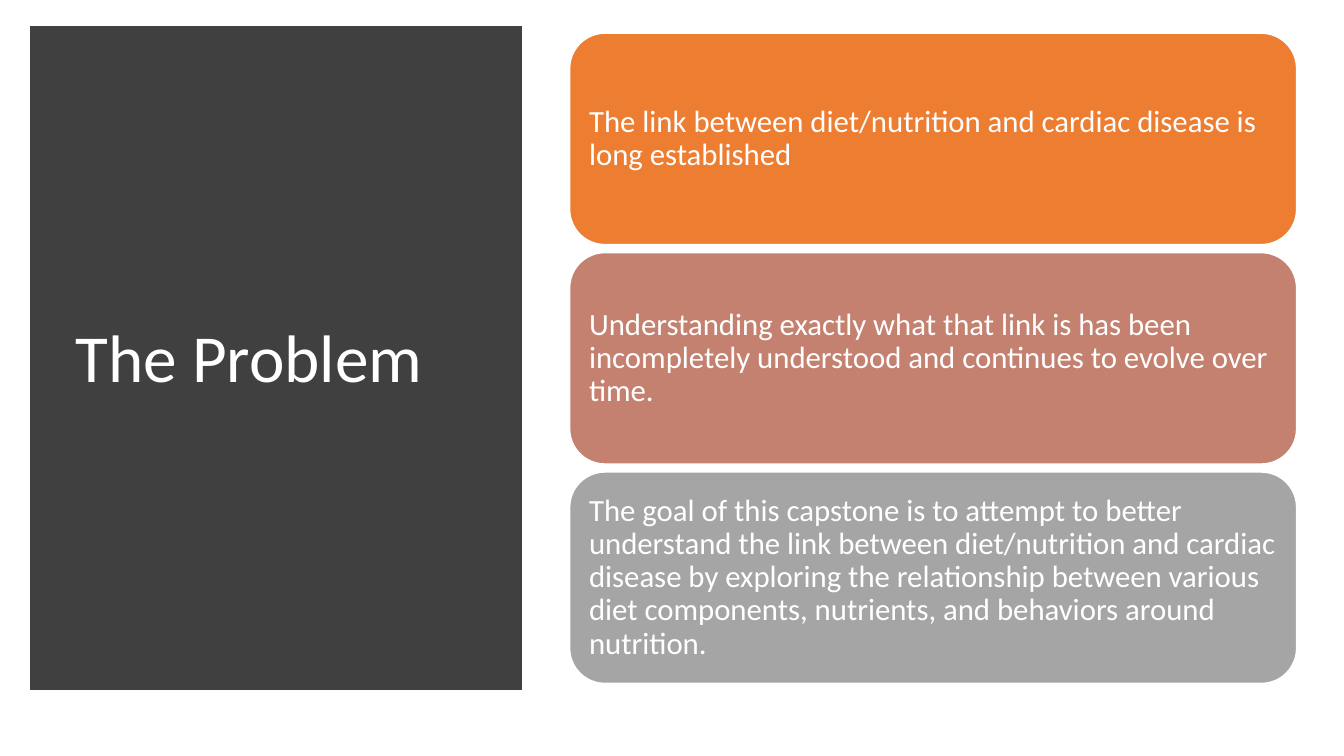
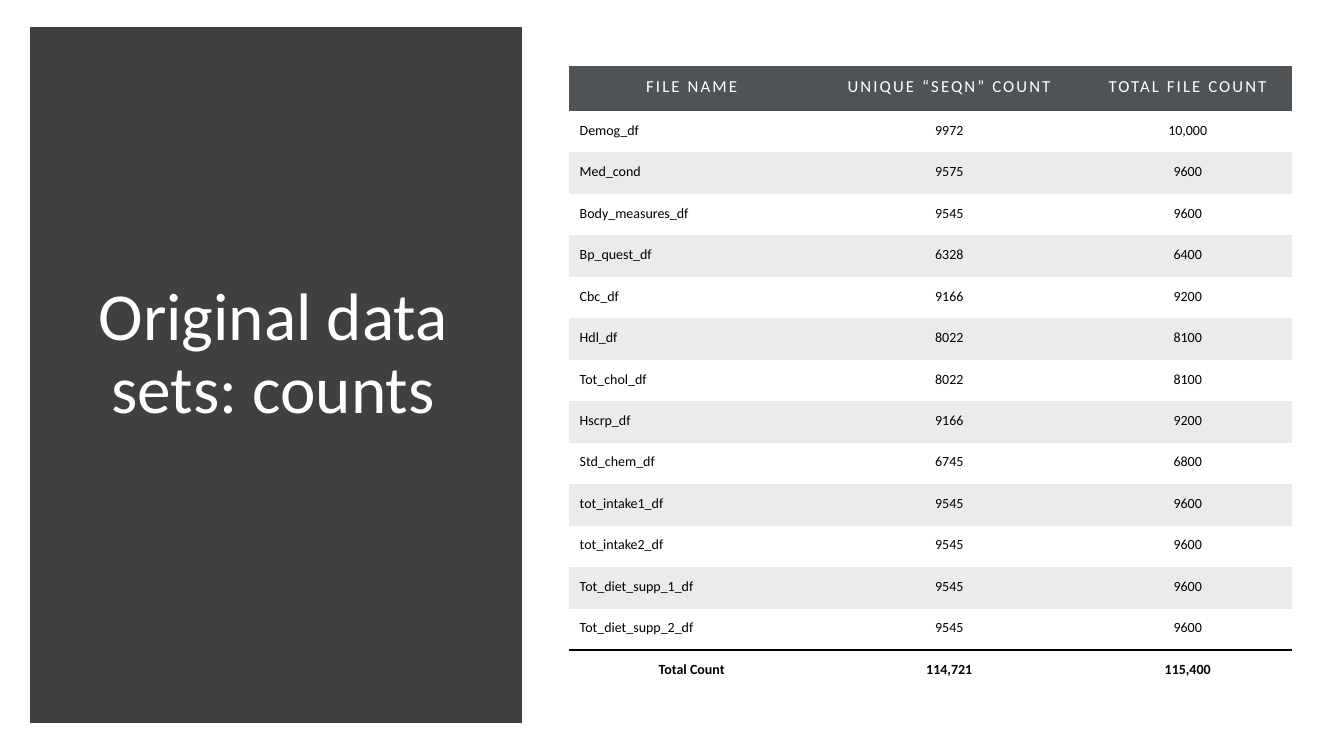
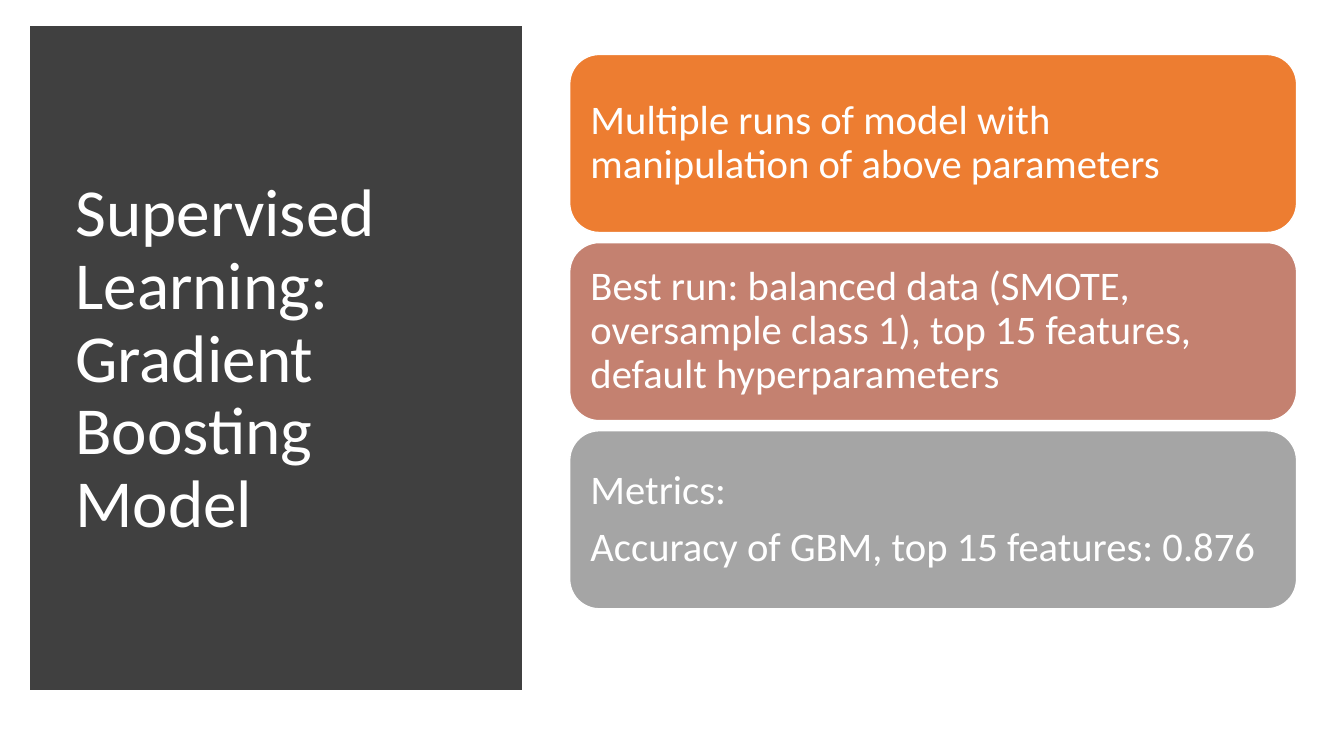
import pptx
import pptx.util
import pptx.dml.color
import pptx.enum.shapes
import pptx.enum.text
import pptx.oxml
import pptx.oxml.ns
from lxml import etree

Inches = pptx.util.Inches
Pt = pptx.util.Pt
RGBColor = pptx.dml.color.RGBColor
SHAPE = pptx.enum.shapes.MSO_SHAPE
ANCHOR = pptx.enum.text.MSO_ANCHOR
ALIGN = pptx.enum.text.PP_ALIGN
qn = pptx.oxml.ns.qn

FONT = "Calibri"
WHITE = RGBColor(0xFF, 0xFF, 0xFF)
BLACK = RGBColor(0x00, 0x00, 0x00)
PANEL = RGBColor(0x40, 0x40, 0x40)
HEADER = RGBColor(0x50, 0x53, 0x56)
STRIPE = RGBColor(0xEB, 0xEB, 0xEB)
CARD_COLORS = [RGBColor(0xED, 0x7D, 0x31), RGBColor(0xC4, 0x81, 0x70),
               RGBColor(0xA5, 0xA5, 0xA5)]
NO_STYLE = "{2D5ABB26-0587-4C30-8999-92F81FD0307C}"

# Boxes: left, top, width, height in inches
PANEL_BOX = (0.37, 0.33, 4.74, 6.45)
TITLE_BOX = (0.65, 0.7, 4.16, 5.75)

PROBLEM = [
    ["The link between diet/nutrition and cardiac disease is long established"],
    ["Understanding exactly what that link is has been incompletely understood "
     "and continues to evolve over time."],
    ["The goal of this capstone is to attempt to better understand the link "
     "between diet/nutrition and cardiac disease by exploring the relationship "
     "between various diet components, nutrients, and behaviors around nutrition."],
]
MODEL_RUNS = [
    ["Multiple runs of model with manipulation of above parameters"],
    ["Best run: balanced data (SMOTE, oversample class 1), top 15 features, "
     "default hyperparameters"],
    ["Metrics:", "Accuracy of GBM, top 15 features: 0.876"],
]
COUNTS = [
    ("FILE NAME", "UNIQUE “SEQN” COUNT", "TOTAL FILE COUNT"),
    ("Demog_df", "9972", "10,000"),
    ("Med_cond", "9575", "9600"),
    ("Body_measures_df", "9545", "9600"),
    ("Bp_quest_df", "6328", "6400"),
    ("Cbc_df", "9166", "9200"),
    ("Hdl_df", "8022", "8100"),
    ("Tot_chol_df", "8022", "8100"),
    ("Hscrp_df", "9166", "9200"),
    ("Std_chem_df", "6745", "6800"),
    ("tot_intake1_df", "9545", "9600"),
    ("tot_intake2_df", "9545", "9600"),
    ("Tot_diet_supp_1_df", "9545", "9600"),
    ("Tot_diet_supp_2_df", "9545", "9600"),
    ("Total Count", "114,721", "115,400"),
]


def set_font(p, size, color, bold=False):
    p.font.name = FONT
    p.font.size = Pt(size)
    p.font.color.rgb = color
    p.font.bold = bold


def add_box(s, kind, box, fill, line, line_width):
    sp = s.shapes.add_shape(kind, *map(Inches, box))
    sp.shadow.inherit = False
    sp.fill.solid()
    sp.fill.fore_color.rgb = fill
    sp.line.color.rgb = line
    sp.line.width = Pt(line_width)
    return sp


def set_margins(target, inset):
    target.margin_left = target.margin_right = Inches(inset)
    target.margin_top = target.margin_bottom = Inches(inset)


def add_title_panel(s, title, panel=PANEL_BOX, box=TITLE_BOX, align=ALIGN.LEFT):
    """Dark panel on the left with the slide title."""
    sp = add_box(s, SHAPE.RECTANGLE, panel, PANEL, PANEL, 10)
    # Square corners on the thick outline
    etree.SubElement(sp.line._get_or_add_ln(), qn("a:miter"), lim="800000")

    tf = s.shapes.add_textbox(*map(Inches, box)).text_frame
    tf.word_wrap = True
    tf.vertical_anchor = ANCHOR.MIDDLE
    p = tf.paragraphs[0]
    p.text = title
    p.alignment = align
    p.line_spacing = 0.9
    set_font(p, 48, WHITE)


def add_cards(s, box, cards, gap, size, inset):
    """Equal rounded cards stacked down the box."""
    left, top, width, height = box
    card_height = (height - gap * (len(cards) - 1)) / len(cards)
    for i, (texts, color) in enumerate(zip(cards, CARD_COLORS)):
        card = (left, top + i * (card_height + gap), width, card_height)
        tf = add_box(s, SHAPE.ROUNDED_RECTANGLE, card, color, WHITE, 1).text_frame
        tf.word_wrap = True
        tf.vertical_anchor = ANCHOR.MIDDLE
        set_margins(tf, inset)
        for j, text in enumerate(texts):
            p = tf.add_paragraph() if j else tf.paragraphs[0]
            p.text = text
            p.alignment = ALIGN.LEFT
            p.line_spacing = 0.9
            p.space_after = Pt(round(size * 0.35))
            set_font(p, size, WHITE)


def add_rule(cell, side):
    """Thin black border on one side of a cell."""
    ln = etree.Element(qn("a:" + side), w=str(Pt(1)))
    fill = etree.SubElement(ln, qn("a:solidFill"))
    etree.SubElement(fill, qn("a:srgbClr"), val=str(BLACK))
    cell._tc.get_or_add_tcPr().insert(0, ln)


def add_counts_table(s, box, rows, col_widths, header_height):
    """Striped table with a header row and a ruled total row."""
    last = len(rows) - 1
    table = s.shapes.add_table(len(rows), len(col_widths),
                               *map(Inches, box)).table
    table.first_row = table.horz_banding = False
    table._tbl.tblPr.find(qn("a:tableStyleId")).text = NO_STYLE
    for column, width in zip(table.columns, col_widths):
        column.width = Inches(width)

    row_height = (box[3] - header_height) / last
    for i, values in enumerate(rows):
        header, total = i == 0, i == last
        table.rows[i].height = Inches(header_height if header else row_height)
        for j, value in enumerate(values):
            cell = table.cell(i, j)
            set_margins(cell, 0.11)
            p = cell.text_frame.paragraphs[0]
            p.text = value
            is_name = j == 0 and not header and not total
            p.alignment = ALIGN.LEFT if is_name else ALIGN.CENTER
            set_font(p, 12 if header else 10, WHITE if header else BLACK, total)
            if header:
                p.runs[0]._r.get_or_add_rPr().set("spc", "150")
            if header or (i % 2 == 0 and not total):
                cell.fill.solid()
                cell.fill.fore_color.rgb = HEADER if header else STRIPE
            else:
                cell.fill.background()
            if total:
                add_rule(cell, "lnT")
            elif i == last - 1:
                add_rule(cell, "lnB")


def main():
    prs = pptx.Presentation()
    prs.slide_width, prs.slide_height = Inches(13.33), Inches(7.5)
    blank = prs.slide_layouts[6]

    # The problem
    s = prs.slides.add_slide(blank)
    add_title_panel(s, "The Problem")
    add_cards(s, (5.65, 0.33, 7.21, 6.45), PROBLEM, 0.08, 22, 0.09)

    # Data set counts
    s = prs.slides.add_slide(blank)
    add_title_panel(s, "Original data sets: counts", (0.37, 0.34, 4.74, 6.76),
                    (0.81, 0.81, 3.8, 5.43), ALIGN.CENTER)
    add_counts_table(s, (5.64, 0.65, 7.17, 6.21), COUNTS,
                     (2.44, 2.67, 2.06), 0.45)

    # Gradient boosting results
    s = prs.slides.add_slide(blank)
    add_title_panel(s, "Supervised Learning:\vGradient Boosting Model")
    add_cards(s, (5.65, 0.54, 7.21, 5.5), MODEL_RUNS, 0.1, 29, 0.12)

    prs.save("out.pptx")


if __name__ == "__main__":
    main()
